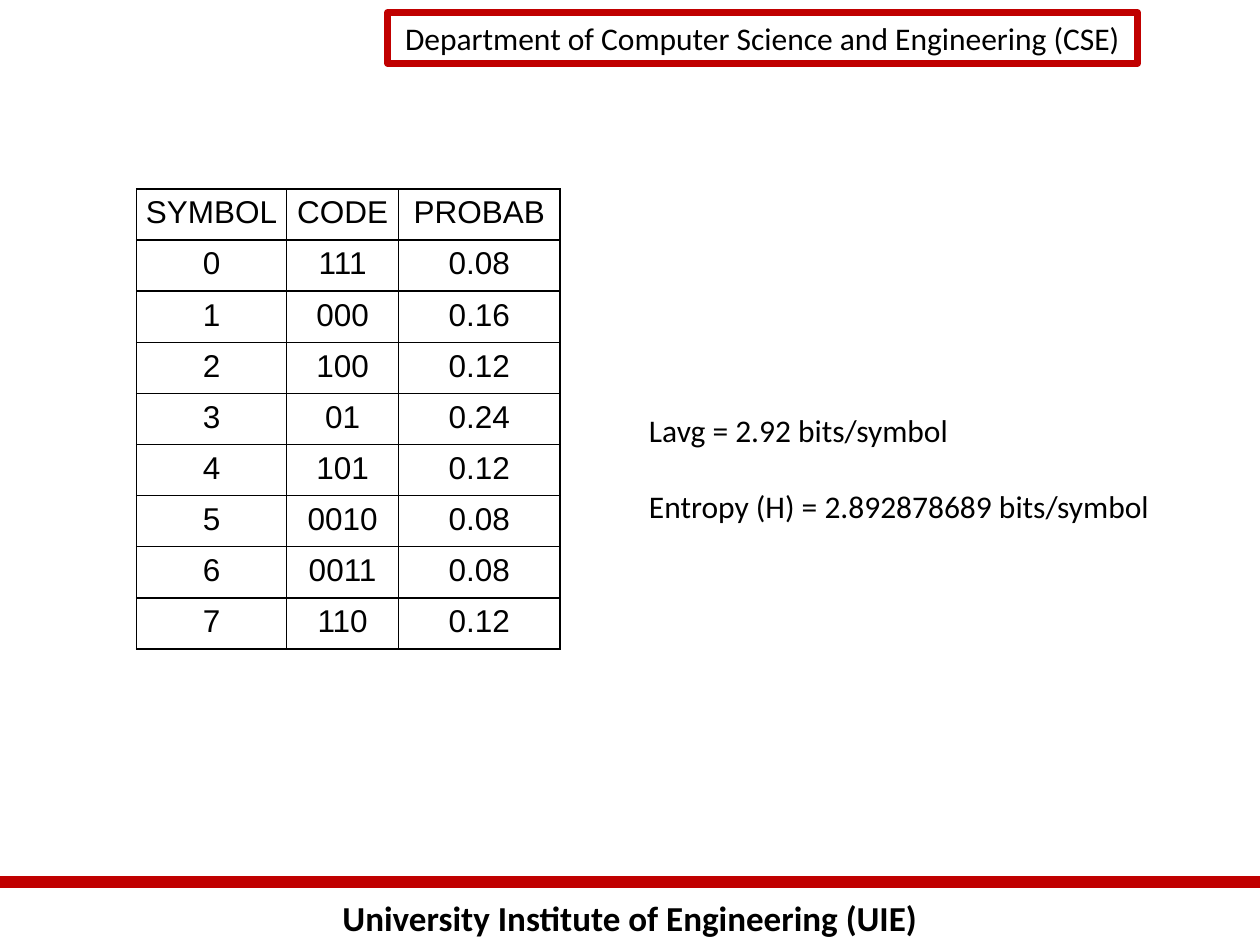
from typing import NamedTuple

from lxml.etree import SubElement
from pptx import Presentation
from pptx.dml.color import RGBColor
from pptx.enum.shapes import MSO_CONNECTOR as Connector, MSO_SHAPE as Preset
from pptx.enum.text import MSO_ANCHOR as Anchor, PP_ALIGN as Align
from pptx.oxml.ns import qn
from pptx.util import Pt

BLACK = RGBColor(0x00, 0x00, 0x00)
RED = RGBColor(0xC0, 0x00, 0x00)

COLUMN_WIDTHS = (85.8, 64, 92.2)
ROW_HEIGHT = 29.2


class Box(NamedTuple):
    left: float
    top: float
    width: float
    height: float

    def lengths(self) -> tuple:
        return tuple(Pt(value) for value in self)


class CodeRow(NamedTuple):
    symbol: str
    code: str
    probability: str


CODE_ROWS = (
    CodeRow("SYMBOL", "CODE", "PROBAB"),
    CodeRow("0", "111", "0.08"),
    CodeRow("1", "000", "0.16"),
    CodeRow("2", "100", "0.12"),
    CodeRow("3", "01", "0.24"),
    CodeRow("4", "101", "0.12"),
    CodeRow("5", "0010", "0.08"),
    CodeRow("6", "0011", "0.08"),
    CodeRow("7", "110", "0.12"),
)


def write_text(frame, *lines: str, font="Calibri", size=18, bold=False,
               align=Align.LEFT, gap=0) -> None:
    frame.word_wrap = True
    frame.vertical_anchor = Anchor.TOP
    for index, line in enumerate(lines):
        paragraph = frame.add_paragraph() if index else frame.paragraphs[0]
        paragraph.alignment = align
        if index:
            paragraph.space_before = Pt(gap)
        run = paragraph.add_run()
        run.text = line
        run.font.name = font
        run.font.size = Pt(size)
        run.font.bold = bold
        run.font.color.rgb = BLACK


def add_text(slide, box: Box, *lines: str, **text_format) -> None:
    shape = slide.shapes.add_textbox(*box.lengths())
    write_text(shape.text_frame, *lines, **text_format)


def add_department_box(slide, box: Box, text: str) -> None:
    shape = slide.shapes.add_shape(Preset.RECTANGLE, *box.lengths())
    shape.shadow.inherit = False
    shape.fill.background()
    shape.line.color.rgb = RED
    shape.line.width = Pt(4)
    write_text(shape.text_frame, text, align=Align.CENTER)


def add_footer_rule(slide, top: float) -> None:
    rule = slide.shapes.add_connector(Connector.STRAIGHT, Pt(0), Pt(top), Pt(720), Pt(top))
    rule.line.color.rgb = RED
    rule.line.width = Pt(7)
    SubElement(rule.element.spPr, qn("a:effectLst"))


def add_cell_borders(cell) -> None:
    properties = cell._tc.get_or_add_tcPr()
    for position, side in enumerate(("a:lnL", "a:lnR", "a:lnT", "a:lnB")):
        border = properties.makeelement(qn(side), {"w": str(Pt(1))})
        fill = SubElement(border, qn("a:solidFill"))
        SubElement(fill, qn("a:srgbClr"), val=str(BLACK))
        properties.insert(position, border)


def add_code_table(slide, left: float, top: float) -> None:
    box = Box(left, top, sum(COLUMN_WIDTHS), ROW_HEIGHT * len(CODE_ROWS))
    table = slide.shapes.add_table(
        len(CODE_ROWS), len(COLUMN_WIDTHS), *box.lengths()).table
    table.first_row = False
    table.horz_banding = False
    for column, width in zip(table.columns, COLUMN_WIDTHS):
        column.width = Pt(width)
    for table_row, code_row in zip(table.rows, CODE_ROWS):
        table_row.height = Pt(ROW_HEIGHT)
        for cell, text in zip(table_row.cells, code_row):
            cell.fill.background()
            cell.margin_left = cell.margin_right = Pt(5)
            write_text(cell.text_frame, text, font="Arial", align=Align.CENTER)
            add_cell_borders(cell)


def main() -> None:
    """Build the slide with the symbol code table and its entropy."""
    presentation = Presentation()
    presentation.slide_width, presentation.slide_height = Pt(720), Pt(540)
    slide = presentation.slides.add_slide(presentation.slide_layouts[6])
    add_text(slide, Box(0, 508.5, 720, 31), "University Institute of Engineering (UIE)",
             size=20, bold=True, align=Align.CENTER)
    add_footer_rule(slide, 504)
    add_department_box(slide, Box(221.5, 7.2, 428.5, 29),
                       "Department of Computer Science and Engineering (CSE)")
    add_code_table(slide, 78, 108)
    add_text(slide, Box(363.8, 231.2, 321, 72.7), "Lavg = 2.92 bits/symbol",
             "Entropy (H) = 2.892878689 bits/symbol", gap=22)
    presentation.save("out.pptx")


if __name__ == "__main__":
    main()
